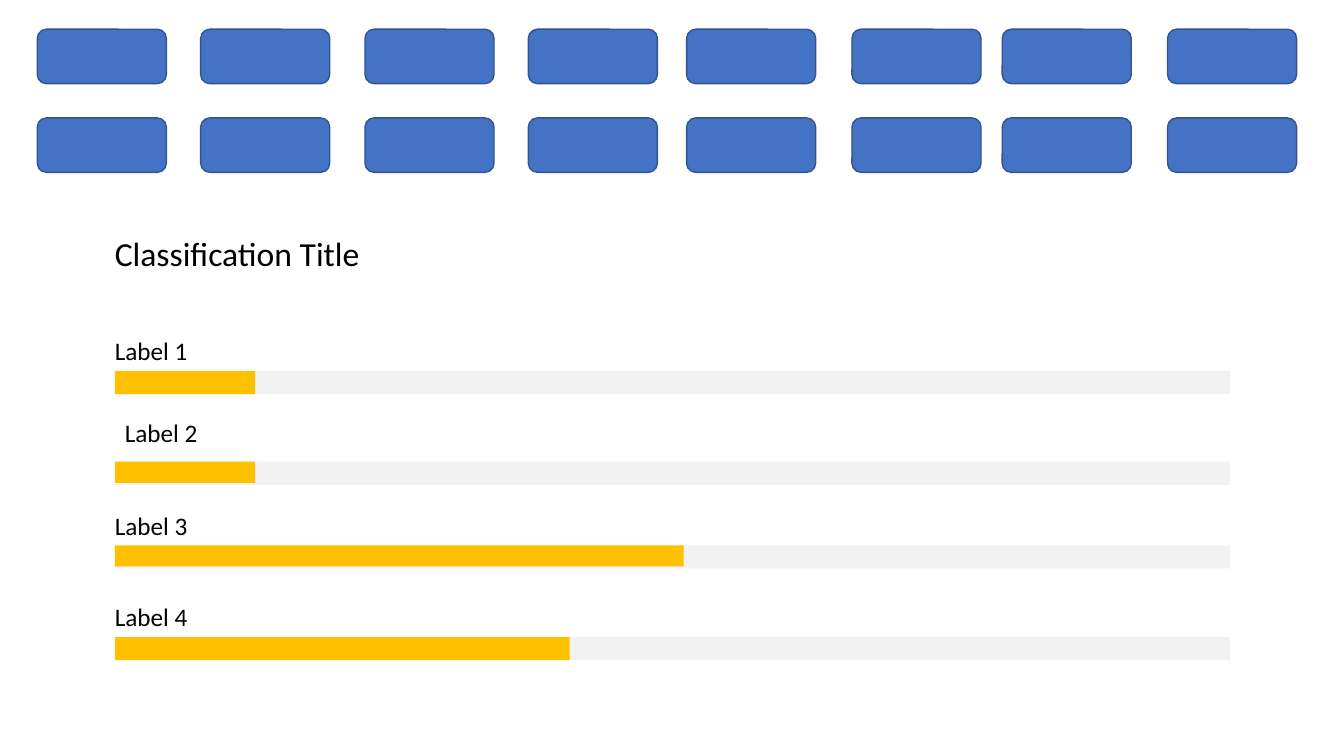
from pptx import Presentation
from pptx.dml.color import RGBColor
from pptx.enum.shapes import MSO_SHAPE
from pptx.enum.text import MSO_AUTO_SIZE
from pptx.util import Inches, Pt

COLORS = {
    "track": "F2F2F2",
    "bar": "FFC000",
    "tile": "4472C4",
    "edge": "325491",
    "text": "000000",
}

deck = Presentation()
deck.slide_width, deck.slide_height = Inches(13.33), Inches(7.5)
slide = deck.slides.add_slide(deck.slide_layouts[6])


def add_box(kind, left, top, width, height, fill, edge=None):
    """Add a filled shape, outlined only if an edge colour is named."""
    box = slide.shapes.add_shape(
        kind, Inches(left), Inches(top), Inches(width), Inches(height))
    box.shadow.inherit = False
    box.fill.solid()
    box.fill.fore_color.rgb = RGBColor.from_string(COLORS[fill])
    if edge:
        box.line.color.rgb = RGBColor.from_string(COLORS[edge])
        box.line.width = Pt(1)
    else:
        box.line.fill.background()


def add_label(text, left, top, width, height, size):
    """Add a single line of text that does not wrap."""
    label = slide.shapes.add_textbox(
        Inches(left), Inches(top), Inches(width), Inches(height))
    frame = label.text_frame
    frame.text = text
    frame.word_wrap = False
    frame.auto_size = MSO_AUTO_SIZE.SHAPE_TO_FIT_TEXT
    font = frame.paragraphs[0].runs[0].font
    font.name, font.size = "Calibri", Pt(size)
    font.color.rgb = RGBColor.from_string(COLORS["text"])


add_label("Classification Title", 1.04, 2.26, 2.66, 0.5, 24)

# Each row: label left, label top, bar top, bar width, bar height
rows = [
    (1.04, 3.28, 3.68, 1.39, 0.23),
    (1.14, 4.09, 4.58, 1.39, 0.21),
    (1.04, 5.01, 5.41, 5.64, 0.21),
    (1.04, 5.92, 6.32, 4.51, 0.23),
]
for count, (left, head, top, width, height) in enumerate(rows, 1):
    add_box(MSO_SHAPE.RECTANGLE, 1.14, top, 11.06, 0.23, "track")
    add_box(MSO_SHAPE.RECTANGLE, 1.14, top, width, height, "bar")
    add_label(f"Label {count}", left, head, 0.93, 0.4, 18)

# The tile columns are unevenly spaced
for top in (0.29, 1.17):
    for left in (0.37, 1.99, 3.62, 5.24, 6.81, 8.45, 9.94, 11.58):
        add_box(MSO_SHAPE.ROUNDED_RECTANGLE, left, top, 1.28, 0.54,
                "tile", "edge")

deck.save("out.pptx")
